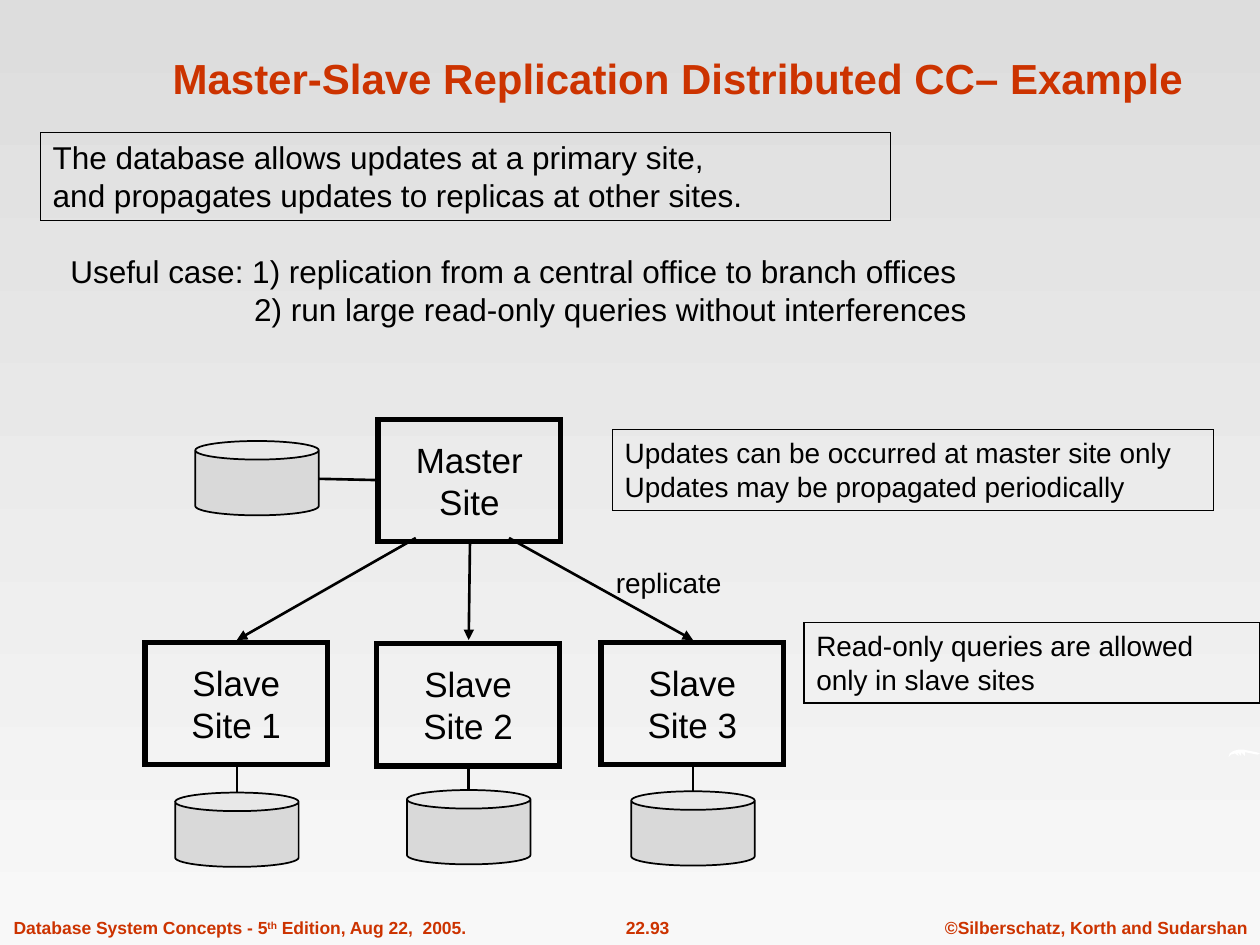
import dataclasses

import pptx
import pptx.dml.color
import pptx.enum.shapes
import pptx.enum.text
import pptx.oxml.ns
import pptx.util
from lxml import etree

Inches = pptx.util.Inches
Pt = pptx.util.Pt
RGB = pptx.dml.color.RGBColor.from_string
ALIGN = pptx.enum.text.PP_ALIGN
ANCHOR = pptx.enum.text.MSO_ANCHOR
SHAPE = pptx.enum.shapes.MSO_SHAPE
qn = pptx.oxml.ns.qn


@dataclasses.dataclass(frozen=True)
class Theme:
    font: str = "Arial"
    ink: str = "000000"
    accent: str = "CC3300"
    disk: str = "D9D9D9"
    swoosh: str = "FFFFFF"
    top: str = "DDDDDD"
    bottom: str = "F8F8F8"
    title_size: int = 24
    site_size: int = 20
    body_size: int = 18
    note_size: int = 16
    footer_size: int = 10


class SlideBuilder:
    def __init__(self, page, theme):
        self.page = page
        self.theme = theme

    def background(self):
        fill = self.page.background.fill
        fill.gradient()
        fill.gradient_angle = 270
        for stop, color in zip(fill.gradient_stops, (self.theme.top, self.theme.bottom)):
            stop.color.rgb = RGB(color)

    def style(self, frame, size, color, align=ALIGN.LEFT, bold=False):
        for para in frame.paragraphs:
            para.alignment = align
            for span in para.runs:
                span.font.name = self.theme.font
                span.font.size = Pt(size)
                span.font.bold = bold
                span.font.color.rgb = RGB(color)

    def title(self, text, left, top, width, height):
        box = self.page.shapes.title
        box.left, box.top, box.width, box.height = map(Inches, (left, top, width, height))
        frame = box.text_frame
        frame.text = text
        frame.auto_size = pptx.enum.text.MSO_AUTO_SIZE.NONE
        frame.vertical_anchor = ANCHOR.BOTTOM
        self.style(frame, self.theme.title_size, self.theme.accent, ALIGN.CENTER, True)

    def text(self, text, left, top, width, height, size, wrap=True):
        box = self.page.shapes.add_textbox(*map(Inches, (left, top, width, height)))
        box.text_frame.word_wrap = wrap
        box.text_frame.text = text
        self.style(box.text_frame, size, self.theme.ink)
        return box

    def footer(self, parts, left, width, align=ALIGN.CENTER):
        box = self.text("", left, 7.23, width, 0.27, self.theme.footer_size, False)
        para = box.text_frame.paragraphs[0]
        for text, baseline in parts:
            span = para.add_run()
            span.text = text
            if baseline:
                span._r.get_or_add_rPr().set("baseline", str(baseline))
        self.style(box.text_frame, self.theme.footer_size, self.theme.accent, align, True)

    def shape(self, kind, left, top, width, height, weight, fill=None):
        box = self.page.shapes.add_shape(kind, *map(Inches, (left, top, width, height)))
        box.shadow.inherit = False
        if fill:
            box.fill.solid()
            box.fill.fore_color.rgb = RGB(fill)
        else:
            box.fill.background()
        box.line.color.rgb = RGB(self.theme.ink)
        box.line.width = Pt(weight)
        outline = box._element.spPr.find(qn("a:ln"))
        etree.SubElement(outline, qn("a:miter"), lim="800000")
        return box

    def note(self, text, left, top, width, height, size):
        box = self.shape(SHAPE.RECTANGLE, left, top, width, height, 0.75)
        frame = box.text_frame
        frame.word_wrap = True
        frame.vertical_anchor = ANCHOR.TOP
        frame.text = text
        self.style(frame, size, self.theme.ink)

    def site(self, text, left, top):
        box = self.shape(SHAPE.RECTANGLE, left, top, 1.45, 0.97, 3)
        frame = box.text_frame
        frame.word_wrap = False
        frame.vertical_anchor = ANCHOR.MIDDLE
        frame.text = text
        self.style(frame, self.theme.site_size, self.theme.ink, ALIGN.CENTER)

    def disk(self, left, top):
        self.shape(SHAPE.CAN, left, top, 0.98, 0.59, 1, self.theme.disk)

    def line(self, start, end, arrow=False):
        link = self.page.shapes.add_connector(
            pptx.enum.shapes.MSO_CONNECTOR.STRAIGHT, *map(Inches, (*start, *end)))
        link.line.color.rgb = RGB(self.theme.ink)
        link.line.width = Pt(1.5)
        props = link._element.spPr
        if arrow:
            etree.SubElement(props.find(qn("a:ln")), qn("a:tailEnd"), type="triangle")
        etree.SubElement(props, qn("a:effectLst"))

    def swoosh(self, points):
        corners = [(Inches(x), Inches(y)) for x, y in points]
        builder = self.page.shapes.build_freeform(*corners[0])
        builder.add_line_segments(corners[1:], close=True)
        outline = builder.convert_to_shape()
        outline.shadow.inherit = False
        outline.fill.solid()
        outline.fill.fore_color.rgb = RGB(self.theme.swoosh)
        outline.line.fill.background()


def main():
    deck = pptx.Presentation()
    deck.slide_width, deck.slide_height = Inches(10), Inches(7.5)
    theme = Theme()
    slide = SlideBuilder(deck.slides.add_slide(deck.slide_layouts[5]), theme)
    slide.background()

    slide.footer([("©Silberschatz, Korth and Sudarshan", 0)], 7.4, 2.6)
    slide.footer([("22.93", 0)], 4.61, 1.06)
    slide.footer([("Database System Concepts - 5", 0), ("th", 30000),
                  (" Edition, Aug 22,  2005.", 0)], 0.01, 3.79, ALIGN.LEFT)
    slide.swoosh([(9.75, 6.01), (9.76, 5.98), (9.79, 5.96), (9.83, 5.95), (9.87, 5.95),
                  (9.92, 5.96), (9.97, 5.97), (10, 5.98), (9.98, 5.99), (9.93, 5.98),
                  (9.88, 5.97), (9.88, 6), (9.85, 5.97), (9.85, 6), (9.82, 5.97),
                  (9.83, 6), (9.8, 5.98), (9.77, 5.99)])
    slide.title("Master-Slave Replication Distributed CC– Example", 0.76, 0.2, 9.24, 0.67)

    slide.note("The database allows updates at a primary site,\n"
               "and propagates updates to replicas at other sites.",
               0.32, 1.05, 6.75, 0.7, theme.body_size)
    cases = slide.text("Useful case: 1) replication from a central office to branch offices\n"
                       "2) run large read-only queries without interferences",
                       0.46, 1.95, 8.07, 0.7, theme.body_size)
    second = cases.text_frame.paragraphs[1]._p.get_or_add_pPr()
    second.set("marL", str(Inches(1.46)))
    second.set("indent", "0")

    slide.site("Master\nSite", 3, 3.33)
    slide.disk(1.55, 3.5)
    slide.line((2.98, 3.81), (2.53, 3.8))

    replicas = [(1.15, 5.1, 6.29, (3.3, 4.27)),
                (2.99, 5.11, 6.27, (3.73, 4.31)),
                (4.77, 5.1, 6.28, (4.04, 4.27))]
    for number, (left, top, disk_top, source) in enumerate(replicas, 1):
        center = left + 0.73
        slide.site(f"Slave\nSite {number}", left, top)
        slide.line(source, (center, 5.08), arrow=True)
        slide.disk(center - 0.49, disk_top)
        slide.line((center, 6.09), (center, disk_top))

    slide.text("replicate", 4.79, 4.44, 1.04, 0.37, theme.note_size, False)
    slide.note("Updates can be occurred at master site only\n"
               "Updates may be propagated periodically",
               4.86, 3.41, 4.77, 0.64, theme.note_size)
    slide.note("Read-only queries are allowed only in slave sites",
               6.38, 4.94, 3.62, 0.64, theme.note_size)
    deck.save("out.pptx")


if __name__ == "__main__":
    main()
